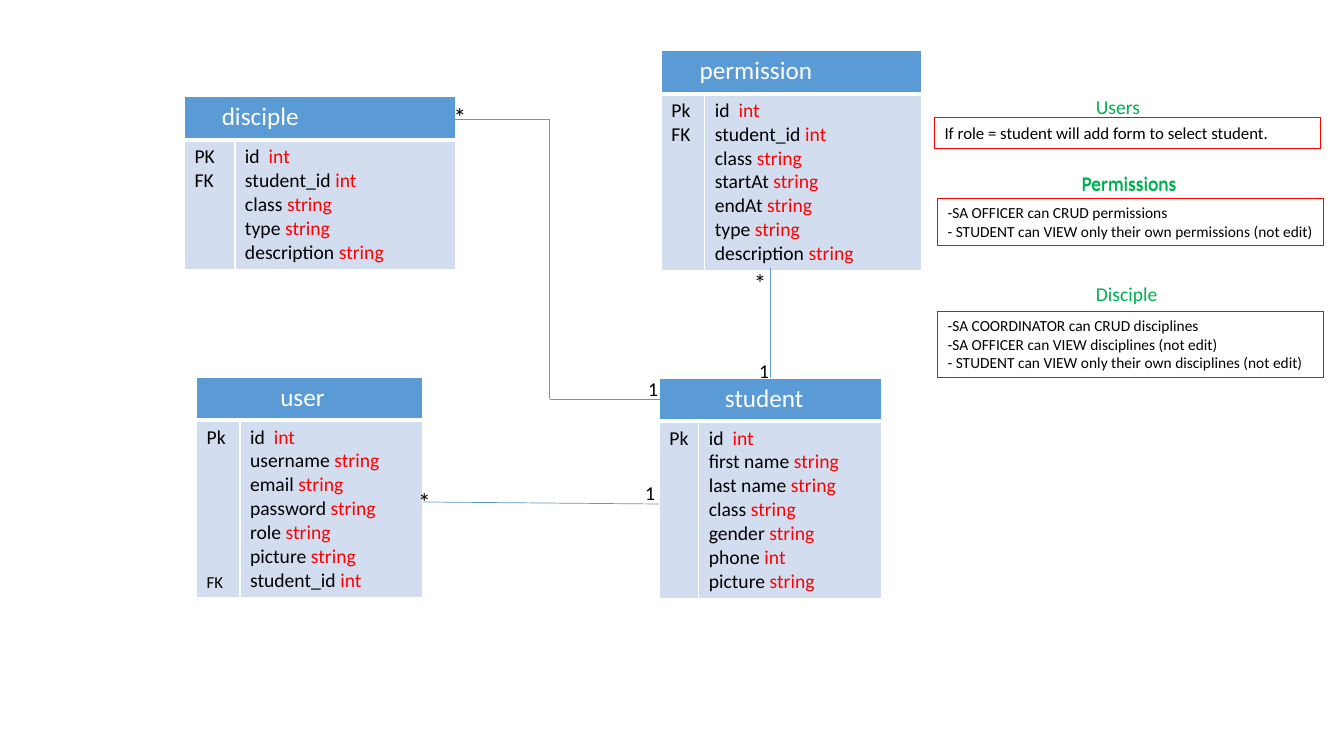
from dataclasses import dataclass
from lxml.etree import SubElement
from pptx import Presentation
from pptx.dml.color import RGBColor as RGB
from pptx.enum.shapes import MSO_CONNECTOR as LINK, MSO_SHAPE as SHAPE
from pptx.enum.text import MSO_ANCHOR as ANCHOR, PP_ALIGN as ALIGN
from pptx.oxml.ns import qn
from pptx.util import Inches, Pt


@dataclass
class Theme:
    font: str = "Calibri"
    black: RGB = RGB(0, 0, 0)
    white: RGB = RGB(255, 255, 255)
    header: RGB = RGB(0x5B, 0x9B, 0xD5)
    body: RGB = RGB(0xD2, 0xDE, 0xEF)
    red: RGB = RGB(255, 0, 0)
    green: RGB = RGB(0, 0xB0, 0x50)
    title_size: int = 18
    text_size: int = 14
    note_size: int = 12
    rule_size: int = 11


theme = Theme()


def style(run, size, color):
    run.font.name = theme.font
    run.font.size = Pt(size)
    run.font.bold = False
    run.font.color.rgb = color


def paint_cell(cell, fill, bottom):
    props = cell._tc.get_or_add_tcPr()
    for side, width in (("L", 1), ("R", 1), ("T", 1), ("B", bottom)):
        border = SubElement(props, qn(f"a:ln{side}"), w=str(Pt(width)))
        solid = SubElement(border, qn("a:solidFill"))
        SubElement(solid, qn("a:srgbClr"), val=str(theme.white))
    cell.fill.solid()
    cell.fill.fore_color.rgb = fill


deck = Presentation()
deck.slide_width, deck.slide_height = Inches(13.33), Inches(7.5)
slide = deck.slides.add_slide(deck.slide_layouts[6])
shapes = slide.shapes

# Entities: name, title indent, left, top, column widths, keys, fields
# A key is its label, size and the space in points above it
text_size, header_height = theme.text_size, 0.43
primary, foreign = ("Pk", text_size, 0), ("FK", text_size, 0)
entities = [
    ("user", 0.83, 1.95, 3.74, (0.43, 1.81),
     [primary, ("FK", theme.note_size, 88)],
     ["id  int", "username string", "email string", "password string",
      "role string", "picture string", "student_id int"]),
    ("student", 0.65, 6.54, 3.75, (0.39, 1.81), [primary],
     ["id  int", "first name string", "last name string", "class string",
      "gender string", "phone int", "picture string"]),
    ("permission", 0.38, 6.56, 0.5, (0.43, 2.15), [primary, foreign],
     ["id  int", "student_id int", "class string", "startAt string",
      "endAt string", "type string", "description string"]),
    ("disciple", 0.37, 1.83, 0.96, (0.5, 2.19),
     [("PK", text_size, 0), foreign],
     ["id  int", "student_id int", "class string", "type string",
      "description string"]),
]
for name, indent, left, top, widths, keys, fields in entities:
    body_height = 0.1 + 0.235 * len(fields)
    entity = shapes.add_table(
        2, 2, Inches(left), Inches(top), Inches(sum(widths)),
        Inches(header_height + body_height)).table
    entity.first_row = entity.horz_banding = False
    for column, width in zip(entity.columns, widths):
        column.width = Inches(width)
    for row, height in zip(entity.rows, (header_height, body_height)):
        row.height = Inches(height)
    for column in range(2):
        paint_cell(entity.cell(0, column), theme.header, 3)
        paint_cell(entity.cell(1, column), theme.body, 1)

    title = entity.cell(0, 0)
    title.merge(entity.cell(0, 1))
    title.margin_left = Inches(indent)
    title.text_frame.text = name
    style(title.text_frame.paragraphs[0].runs[0], theme.title_size, theme.white)

    key_frame = entity.cell(1, 0).text_frame
    key_frame.text = "\n".join(label for label, _, _ in keys)
    for line, (_, size, gap) in zip(key_frame.paragraphs, keys):
        line.space_before = Pt(gap)
        style(line.runs[0], size, theme.black)

    field_frame = entity.cell(1, 1).text_frame
    field_frame.text = "\n".join(f.rpartition(" ")[0] + " " for f in fields)
    for line, field in zip(field_frame.paragraphs, fields):
        style(line.runs[0], text_size, theme.black)
        data_type = line.add_run()
        data_type.text = field.rpartition(" ")[2]
        style(data_type, text_size, theme.red)

# Relations between the entities
relations = [
    (4.5, 1.18, 5.45, 1.18), (5.45, 1.18, 5.45, 3.96), (5.45, 3.96, 6.56, 3.96),
    (7.64, 2.66, 7.64, 3.75), (4.2, 4.98, 6.54, 5),
]
for ends in relations:
    relation = shapes.add_connector(LINK.STRAIGHT, *map(Inches, ends))
    relation.line.color.rgb = theme.header
    relation.line.width = Pt(0.5)
    SubElement(relation._element.spPr, qn("a:effectLst"))

# Rule boxes
rules = [
    (9.27, 1.17, 0.3, theme.note_size,
     ["If role = student will add form to select student."]),
    (9.3, 3.09, 0.66, theme.rule_size,
     ["-SA COORDINATOR can CRUD disciplines",
      "-SA OFFICER can VIEW disciplines (not edit)",
      "- STUDENT can VIEW only their own disciplines (not edit)"]),
    (9.3, 1.97, 0.47, theme.rule_size,
     ["-SA OFFICER can CRUD permissions",
      "- STUDENT can VIEW only their own permissions (not edit)"]),
]
for left, top, height, size, lines in rules:
    rule = shapes.add_shape(SHAPE.RECTANGLE, Inches(left), Inches(top),
                            Inches(3.83), Inches(height))
    rule.shadow.inherit = False
    rule.fill.background()
    rule.line.color.rgb = theme.red
    rule.line.width = Pt(0.75)
    frame = rule.text_frame
    frame.word_wrap = True
    frame.vertical_anchor = ANCHOR.TOP
    frame.text = "\n".join(lines)
    for line in frame.paragraphs:
        line.alignment = ALIGN.LEFT
        style(line.runs[0], size, theme.black)

# Cardinalities and rule headings: text, left, top, width, height, size, colour
many = ("*", 0.56, 0.41, theme.title_size, theme.black)
one = ("1", 0.56, 0.34, text_size, theme.black)
users, permissions, disciple = [
    (text, width, 0.34, text_size, theme.green)
    for text, width in (("Users", 0.88), ("Permissions", 1.39), ("Disciple", 1.04))]
labels = [
    (many, 4.4, 0.96), (one, 6.33, 3.69),
    (many, 7.38, 2.6), (one, 7.43, 3.51),
    (many, 4.05, 4.78), (one, 6.3, 4.72),
    (users, 10.77, 0.89), (permissions, 10.63, 1.66),
    (permissions, 10.63, 1.65), (disciple, 10.77, 2.75),
]
for (text, width, height, size, color), left, top in labels:
    label = shapes.add_textbox(*map(Inches, (left, top, width, height)))
    label.text_frame.word_wrap = True
    label.text_frame.text = text
    style(label.text_frame.paragraphs[0].runs[0], size, color)

deck.save("out.pptx")
